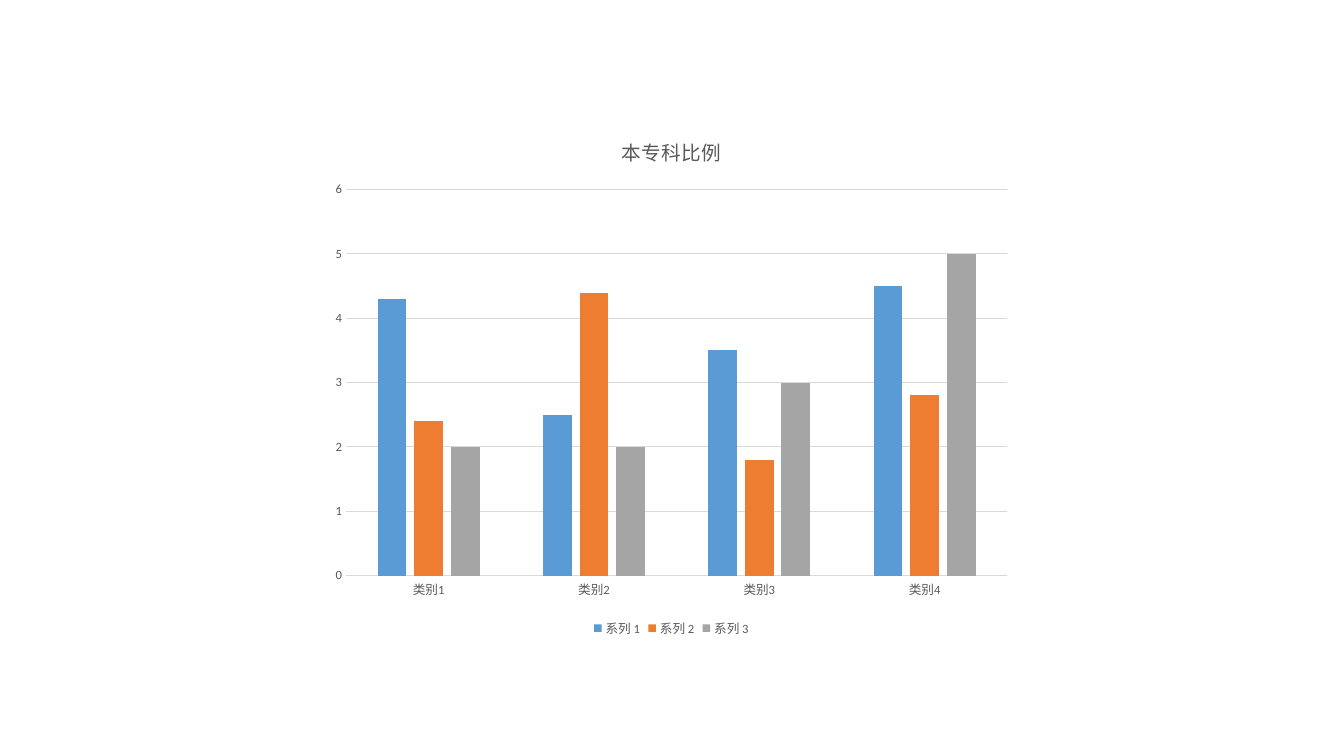
from pptx import Presentation
from pptx.chart.data import CategoryChartData
from pptx.dml.color import RGBColor
from pptx.enum.chart import XL_CHART_TYPE, XL_LEGEND_POSITION, XL_TICK_MARK
from pptx.util import Inches, Pt

COLORS = {
    "text": "595959",
    "rule": "D9D9D9",
    "系列 1": "5B9BD5",
    "系列 2": "ED7D31",
    "系列 3": "A5A5A5",
}
FONT = "Calibri"
CATEGORIES = ["类别1", "类别2", "类别3", "类别4"]
SERIES = {
    "系列 1": (4.3, 2.5, 3.5, 4.5),
    "系列 2": (2.4, 4.4, 1.8, 2.8),
    "系列 3": (2, 2, 3, 5),
}
SLIDE_WIDTH, SLIDE_HEIGHT = Inches(13.33), Inches(7.5)


def across(percent):
    return int(SLIDE_WIDTH * percent / 100)


def down(percent):
    return int(SLIDE_HEIGHT * percent / 100)


def color(name):
    return RGBColor.from_string(COLORS[name])


def style_font(font, size):
    font.name = FONT
    font.size = Pt(size)
    font.bold = False
    font.color.rgb = color("text")


def style_rule(line):
    line.color.rgb = color("rule")
    line.width = Pt(0.75)


def style_axis(axis):
    axis.major_tick_mark = XL_TICK_MARK.NONE
    axis.minor_tick_mark = XL_TICK_MARK.NONE
    style_font(axis.tick_labels.font, 9)


def add_title(chart, wording):
    chart.has_title = True
    heading = chart.chart_title.text_frame
    heading.text = wording
    style_font(heading.paragraphs[0].font, 14)
    chart.chart_title.include_in_layout = False


def add_legend(chart):
    chart.has_legend = True
    chart.legend.position = XL_LEGEND_POSITION.BOTTOM
    chart.legend.include_in_layout = False
    style_font(chart.legend.font, 9)


def style_axes(chart):
    categories, values = chart.category_axis, chart.value_axis
    style_axis(categories)
    style_axis(values)
    style_rule(categories.format.line)
    values.format.line.fill.background()
    values.has_major_gridlines = True
    style_rule(values.major_gridlines.format.line)
    values.minimum_scale, values.maximum_scale = 0, 6
    values.major_unit = 1


def style_columns(plot):
    plot.gap_width = 219
    plot.overlap = -27
    plot.vary_by_categories = False
    for series in plot.series:
        series.format.fill.solid()
        series.format.fill.fore_color.rgb = color(series.name)
        series.invert_if_negative = False


def add_column_chart(slide, left, top, width, height):
    ratios = CategoryChartData(number_format="General")
    ratios.categories = CATEGORIES
    for name, values in SERIES.items():
        ratios.add_series(name, values)
    chart = slide.shapes.add_chart(
        XL_CHART_TYPE.COLUMN_CLUSTERED, left, top, width, height, ratios
    ).chart
    chart.font.name = FONT
    chart.font.size = Pt(10)
    add_title(chart, "本专科比例")
    add_legend(chart)
    style_axes(chart)
    style_columns(chart.plots[0])


def main():
    presentation = Presentation()
    presentation.slide_width = SLIDE_WIDTH
    presentation.slide_height = SLIDE_HEIGHT
    slide = presentation.slides.add_slide(presentation.slide_layouts[6])
    add_column_chart(slide, across(23.93), down(15.33), across(52.06), down(69.47))
    presentation.save("out.pptx")


if __name__ == "__main__":
    main()
